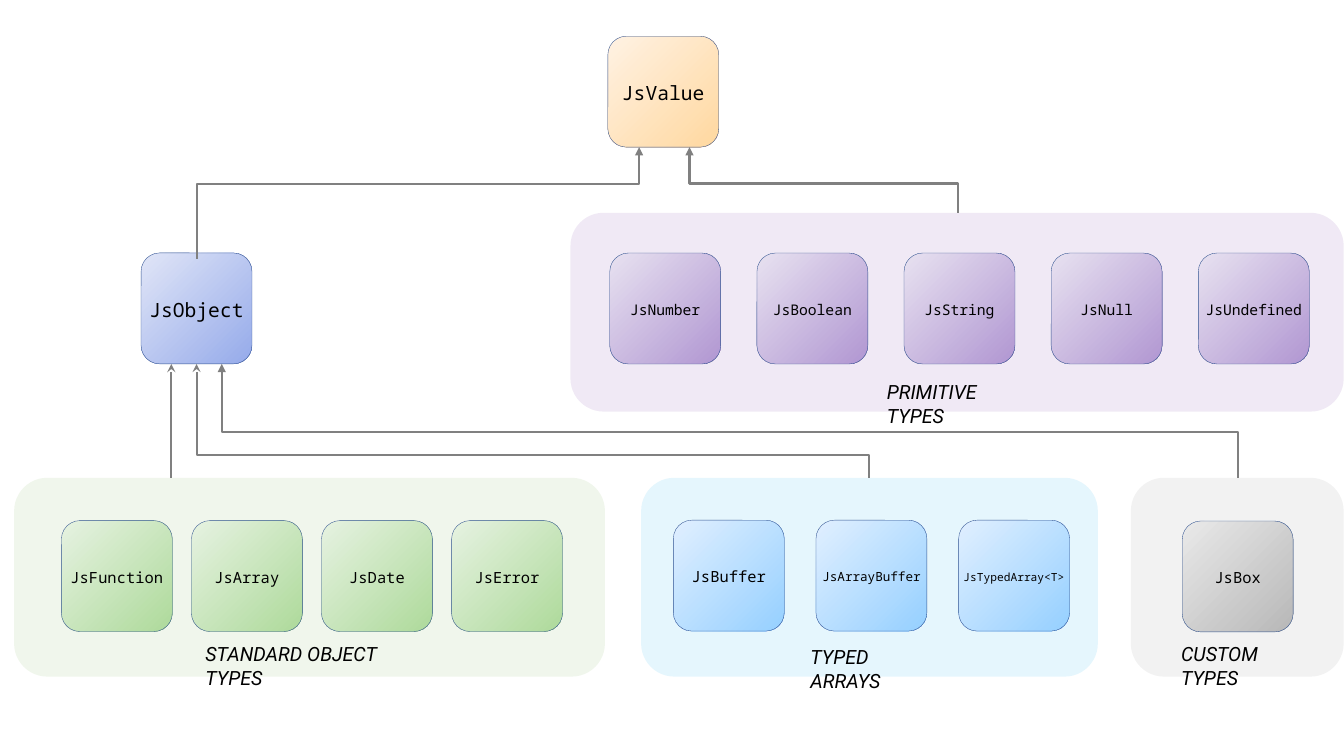
"""Build the JsValue type hierarchy slide."""
from collections import namedtuple

from lxml import etree
from pptx import Presentation
from pptx.dml.color import RGBColor
from pptx.enum.shapes import MSO_CONNECTOR, MSO_SHAPE
from pptx.enum.text import MSO_AUTO_SIZE, PP_ALIGN
from pptx.oxml.ns import qn
from pptx.util import Pt

ROUNDED = MSO_SHAPE.ROUNDED_RECTANGLE
STRAIGHT, ELBOW = MSO_CONNECTOR.STRAIGHT, MSO_CONNECTOR.ELBOW
CENTER, LEFT = PP_ALIGN.CENTER, PP_ALIGN.LEFT
NO_AUTOFIT = MSO_AUTO_SIZE.NONE

BLACK = RGBColor(0x00, 0x00, 0x00)
ARROW_GRAY = RGBColor(0x80, 0x80, 0x80)
CARD_EDGE = RGBColor(0x32, 0x54, 0x91)
PURPLE_TINT = RGBColor(0x70, 0x30, 0xA0)
BLUE_TINT = RGBColor(0x00, 0xB0, 0xF0)
GRAY_TINT = RGBColor(0x80, 0x80, 0x80)
GREEN_TINT = RGBColor(0x70, 0xAD, 0x47)
INDIGO = RGBColor(0xE0, 0xE5, 0xF7), RGBColor(0x96, 0xAB, 0xEA)
ORANGE = RGBColor(0xFF, 0xF2, 0xE3), RGBColor(0xFF, 0xD8, 0xA0)
PURPLE = RGBColor(0xE7, 0xE1, 0xF0), RGBColor(0xB1, 0x97, 0xD2)
BLUE = RGBColor(0xE0, 0xEF, 0xFF), RGBColor(0x96, 0xD0, 0xFF)
GRAY = RGBColor(0xE9, 0xE9, 0xE9), RGBColor(0xB8, 0xB8, 0xB8)
GREEN = RGBColor(0xE6, 0xF2, 0xE1), RGBColor(0xAE, 0xDA, 0x9B)

CARD = 79.2
CAPTION_HEIGHT = 24.5
ROOT_FONT_SIZE = 14
MONO = {"name": "Noto Sans Mono"}
CAPTION = {"name": "Roboto", "size": Pt(14), "italic": True}

Box = namedtuple("Box", "left top width height")
Family = namedtuple("Family", "box tint gradient first_card pitch types caption caption_box")

FAMILIES = [
    Family(Box(407.5, 152, 552.3, 142), PURPLE_TINT, PURPLE, (28.1, 28.8), 105.1,
           [("JsNumber", 10.5), ("JsBoolean", 10.5), ("JsString", 10.5),
            ("JsNull", 10.5), ("JsUndefined", 10.5)],
           "PRIMITIVE TYPES", (218.9, 115.9, 114.5)),
    Family(Box(458, 341.3, 326.2, 142), BLUE_TINT, BLUE, (23, 30.3), 101.9,
           [("JsBuffer", 11), ("JsArrayBuffer", 9), ("JsTypedArray<T>", 8)],
           "TYPED ARRAYS", (113.8, 115.9, 98)),
    Family(Box(807.8, 341.3, 152, 142), GRAY_TINT, GRAY, (36.7, 30.9), 0,
           [("JsBox", 11)],
           "CUSTOM TYPES", (28.8, 113.8, 103)),
    Family(Box(10.1, 341.3, 422, 142), GREEN_TINT, GREEN, (33.8, 30.6), 92.9,
           [("JsFunction", 11), ("JsArray", 11), ("JsDate", 11), ("JsError", 11)],
           "STANDARD OBJECT TYPES", (129.6, 113.8, 163.4)),
]
ROOTS = [
    (Box(100.8, 180.7, CARD, CARD), "JsObject", INDIGO),
    (Box(434.2, 25.9, CARD, CARD), "JsValue", ORANGE),
]
ARROWS = [
    ((122.4, 341.3), (122.4, 260), None, "stealth"),
    ((620.6, 341.3), (140.4, 260), 325.4, "stealth"),
    ((884.2, 341.3), (158.4, 260), 308.9, "triangle"),
    ((140.4, 185), (456.5, 105.1), 131.4, "triangle"),
    ((684, 152), (492.5, 105.1), 131.1, "triangle"),
]


def set_values(target, values):
    """Set each named format value on the target."""
    for name, value in values.items():
        setattr(target, name, value)


def add_rounded(shapes, box):
    """Add a rounded rectangle without a shadow."""
    rounded = shapes.add_shape(ROUNDED, *(Pt(length) for length in box))
    rounded.shadow.inherit = False
    return rounded


def add_text(shapes, box, wording, font, align, wrap):
    """Add one line of black text in the box."""
    label = shapes.add_textbox(*(Pt(length) for length in box))
    set_values(label.text_frame, {"word_wrap": wrap, "auto_size": NO_AUTOFIT})
    paragraph = label.text_frame.paragraphs[0]
    paragraph.alignment = align
    run = paragraph.add_run()
    run.text = wording
    set_values(run.font, font)
    run.font.color.rgb = BLACK


def add_card(shapes, box, type_name, size, gradient):
    """Add a gradient card with the type name centred on it."""
    card = add_rounded(shapes, box)
    card.fill.gradient()
    card.fill.gradient_angle = 315
    for stop, color in zip(card.fill.gradient_stops, gradient):
        stop.color.rgb = color
    card.line.color.rgb = CARD_EDGE
    card.line.width = Pt(0.25)
    width = len(type_name) * size * 0.6 + 14.4
    height = size * 1.23 + 7.2
    label_box = Box(box.left + (box.width - width) / 2,
                    box.top + (box.height - height) / 2 + 1, width, height)
    add_text(shapes, label_box, type_name, {**MONO, "size": Pt(size)}, CENTER, False)


def add_family(slide, family):
    """Add a tinted panel with its row of cards and its caption."""
    shapes = slide.shapes.add_group_shape().shapes
    box = family.box
    panel = add_rounded(shapes, box)
    panel.fill.solid()
    panel.fill.fore_color.rgb = family.tint
    tint = next(panel.fill._xPr.iter(qn("a:srgbClr")))
    etree.SubElement(tint, qn("a:alpha"), val="10000")
    panel.line.fill.background()
    inset_x, inset_y = family.first_card
    for column, (type_name, size) in enumerate(family.types):
        card_box = Box(box.left + inset_x + column * family.pitch,
                       box.top + inset_y, CARD, CARD)
        add_card(shapes, card_box, type_name, size, family.gradient)
    caption_x, caption_y, width = family.caption_box
    caption_box = Box(box.left + caption_x, box.top + caption_y, width, CAPTION_HEIGHT)
    add_text(shapes, caption_box, family.caption, CAPTION, LEFT, True)


def add_elbow(shapes, start, end, bend_y):
    """Add an upward elbow that turns at the height bend_y."""
    (x1, y1), (x2, y2) = start, end
    rise, run = y1 - y2, abs(x2 - x1)
    left = (x1 + x2 - rise) / 2
    top = (y1 + y2 - run) / 2
    first, last = (top, top + run) if x2 > x1 else (top + run, top)
    elbow = shapes.add_connector(ELBOW, Pt(left), Pt(first), Pt(left + rise), Pt(last))
    properties = elbow._element.spPr
    properties.find(qn("a:xfrm")).set("rot", "16200000")
    adjustments = properties.find(qn("a:prstGeom")).get_or_add_avLst()
    bend = round((y1 - bend_y) / rise * 100000)
    etree.SubElement(adjustments, qn("a:gd"), name="adj1", fmla=f"val {bend}")
    return elbow


def add_arrow(slide, start, end, bend_y, head):
    """Add a gray inheritance arrow, straight when bend_y is None."""
    if bend_y is None:
        arrow = slide.shapes.add_connector(STRAIGHT, *(Pt(v) for v in start + end))
    else:
        arrow = add_elbow(slide.shapes, start, end, bend_y)
    arrow.line.color.rgb = ARROW_GRAY
    arrow.line.width = Pt(1.5)
    properties = arrow._element.spPr
    etree.SubElement(properties.find(qn("a:ln")), qn("a:tailEnd"), type=head)
    etree.SubElement(properties, qn("a:effectLst"))


def build():
    """Build the slide and save it."""
    deck = Presentation()
    set_values(deck, {"slide_width": Pt(960), "slide_height": Pt(540)})
    slide = deck.slides.add_slide(deck.slide_layouts[6])
    for box, type_name, gradient in ROOTS:
        add_card(slide.shapes, box, type_name, ROOT_FONT_SIZE, gradient)
    for family in FAMILIES:
        add_family(slide, family)
    for arrow in ARROWS:
        add_arrow(slide, *arrow)
    deck.save("out.pptx")


build()
